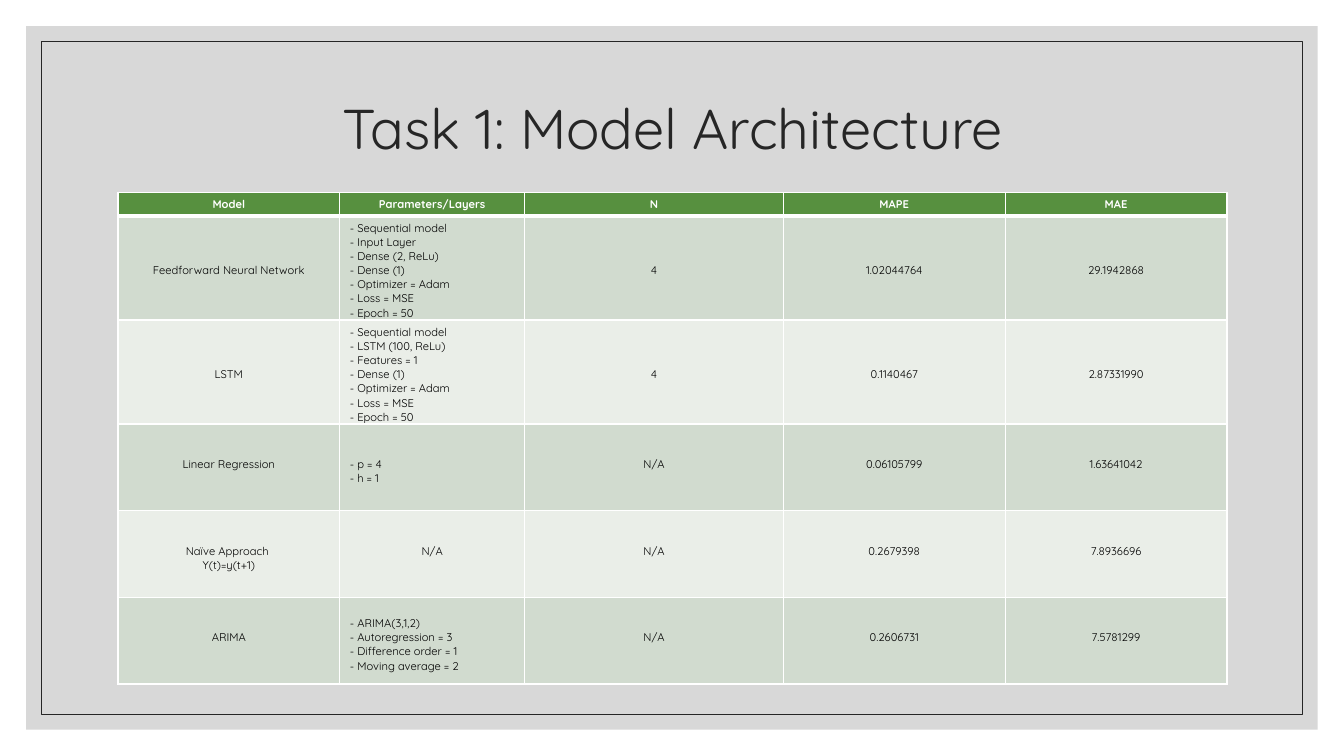
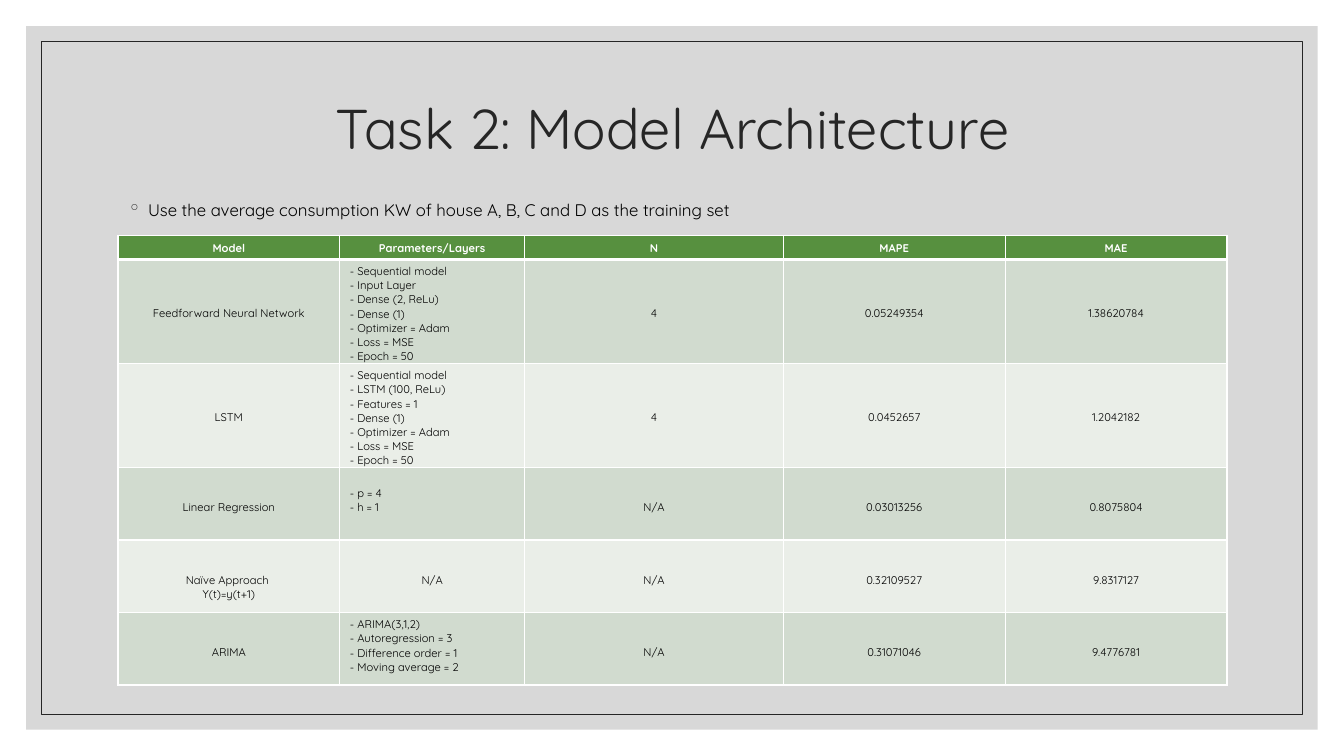
"""Build two slides that compare forecasting models in tables."""
import dataclasses

import lxml.etree
import pptx
import pptx.dml.color
import pptx.enum.shapes
import pptx.enum.text
import pptx.oxml
import pptx.oxml.ns
import pptx.util

ALIGN = pptx.enum.text.PP_ALIGN
ANCHOR = pptx.enum.text.MSO_ANCHOR
Inches = pptx.util.Inches
Pt = pptx.util.Pt


@dataclasses.dataclass(frozen=True)
class Theme:
    font: str = "Quicksand"
    panel: str = "BFBFBF"
    panel_opacity: int = 60
    ink: str = "262626"
    black: str = "000000"
    white: str = "FFFFFF"
    header: str = "57903F"
    bands: tuple = ("D1DBCF", "EAEEE8")
    title_size: int = 40
    note_size: int = 12
    cell_size: int = 8
    frame_width: float = 0.5
    grid_width: int = 1
    header_rule: int = 3


THEME = Theme()
WIDTH, HEIGHT = 13.33, 7.5
PANEL_INSET, FRAME_INSET = 0.26, 0.41
LEFT, CONTENT_WIDTH = 1.17, 11
TITLE_TOP, TITLE_HEIGHT = 0.7, 1.2
BODY_TOP, NOTE_HEIGHT = 1.91, 0.38
COLUMN_SHARES = (0.2, 0.1667, 0.2333, 0.2, 0.2)
HEADER_HEIGHT, TALL_ROW = 0.23, 1.03
CELL_MARGIN = 0.05
LINE_HEIGHT = THEME.cell_size * 1.25 / 72

HEADINGS = ("Model", "Parameters/Layers", "N", "MAPE", "MAE")
TRAINING = ["- Dense (1)", "- Optimizer = Adam", "- Loss = MSE", "- Epoch = 50"]
MODELS = [
    (["Feedforward Neural Network"],
     ["- Sequential model", "- Input Layer", "- Dense (2, ReLu)"] + TRAINING, "4"),
    (["LSTM"],
     ["- Sequential model", "- LSTM (100, ReLu)", "- Features = 1"] + TRAINING, "4"),
    (["Linear Regression"], ["- p = 4", "- h = 1"], "N/A"),
    (["Naïve Approach ", "Y(t)=y(t+1)"], ["N/A"], "N/A"),
    (["ARIMA"],
     ["- ARIMA(3,1,2)", "- Autoregression = 3", "- Difference order = 1",
      "- Moving average = 2"], "N/A"),
]
LINES_ABOVE = (3, 3, 2, 2, 2)
TASKS = [
    {
        "title": "Task 1: Model Architecture",
        "note": None,
        "table_top": 1.91,
        "short_row": 0.86,
        "lines_above_parameters": (0, 0, 2, 2, 1),
        "scores": [
            ("1.02044764", "29.1942868"),
            ("0.1140467", "2.87331990"),
            ("0.06105799", "1.63641042"),
            ("0.2679398", "7.8936696"),
            ("0.2606731", "7.5781299"),
        ],
    },
    {
        "title": "Task 2: Model Architecture",
        "note": "Use the average consumption KW of house A, B, C and D as the training set",
        "table_top": 2.34,
        "short_row": 0.72,
        "lines_above_parameters": (0, 0, 1, 2, 0),
        "scores": [
            ("0.05249354", "1.38620784"),
            ("0.0452657", "1.2042182"),
            ("0.03013256", "0.8075804"),
            ("0.32109527", "9.8317127"),
            ("0.31071046", "9.4776781"),
        ],
    },
]


def rgb(code):
    return pptx.dml.color.RGBColor.from_string(code)


def write_text(frame, lines, size=THEME.cell_size, color=THEME.black, bold=False,
               align=ALIGN.LEFT, spacing=None, bullet=None):
    frame.word_wrap = True
    for index, line in enumerate(lines):
        paragraph = frame.paragraphs[0] if index == 0 else frame.add_paragraph()
        paragraph.alignment = align
        if spacing:
            paragraph.line_spacing = spacing
        if bullet:
            add_bullet(paragraph, bullet)
        run = paragraph.add_run()
        run.text = line
        run.font.name = THEME.font
        run.font.size = Pt(size)
        run.font.bold = bold
        run.font.color.rgb = rgb(color)


def add_bullet(paragraph, symbol, indent=0.2):
    properties = paragraph._p.get_or_add_pPr()
    properties.set("marL", str(Inches(indent)))
    properties.set("indent", str(-Inches(indent)))
    tint = lxml.etree.SubElement(properties, pptx.oxml.ns.qn("a:buClr"))
    lxml.etree.SubElement(tint, pptx.oxml.ns.qn("a:srgbClr"), val=THEME.ink)
    lxml.etree.SubElement(properties, pptx.oxml.ns.qn("a:buChar"), char=symbol)


def add_backdrop(slide, inset):
    rectangle = slide.shapes.add_shape(
        pptx.enum.shapes.MSO_SHAPE.RECTANGLE, Inches(inset), Inches(inset),
        Inches(WIDTH - 2 * inset), Inches(HEIGHT - 2 * inset))
    rectangle.shadow.inherit = False
    return rectangle


def add_background(slide):
    panel = add_backdrop(slide, PANEL_INSET)
    panel.fill.solid()
    panel.fill.fore_color.rgb = rgb(THEME.panel)
    panel.line.fill.background()
    tint = panel._element.spPr.find(".//" + pptx.oxml.ns.qn("a:srgbClr"))
    lxml.etree.SubElement(tint, pptx.oxml.ns.qn("a:alpha"),
                          val=str(THEME.panel_opacity * 1000))
    border = add_backdrop(slide, FRAME_INSET)
    border.fill.background()
    border.line.color.rgb = rgb(THEME.ink)
    border.line.width = Pt(THEME.frame_width)


def add_text_box(slide, top, height, text, anchor=ANCHOR.TOP, **text_format):
    box = slide.shapes.add_textbox(
        Inches(LEFT), Inches(top), Inches(CONTENT_WIDTH), Inches(height))
    box.text_frame.vertical_anchor = anchor
    write_text(box.text_frame, [text], **text_format)


def set_borders(cell, widths):
    properties = cell._tc.get_or_add_tcPr()
    for position, (side, width) in enumerate(widths.items()):
        properties.insert(position, pptx.oxml.parse_xml(
            f'<a:ln{side} {pptx.oxml.ns.nsdecls("a")} w="{Pt(width)}">'
            f'<a:solidFill><a:srgbClr val="{THEME.white}"/></a:solidFill></a:ln{side}>'))


def fill_cell(cell, lines, fill, borders, lines_above=0, **text_format):
    cell.fill.solid()
    cell.fill.fore_color.rgb = rgb(fill)
    cell.margin_top = Inches(CELL_MARGIN + lines_above * LINE_HEIGHT)
    cell.margin_bottom = Inches(CELL_MARGIN)
    set_borders(cell, borders)
    write_text(cell.text_frame, lines, **text_format)


def add_model_table(slide, task):
    heights = [HEADER_HEIGHT] + 2 * [TALL_ROW] + 3 * [task["short_row"]]
    table = slide.shapes.add_table(
        len(heights), len(HEADINGS), Inches(LEFT), Inches(task["table_top"]),
        Inches(CONTENT_WIDTH), Inches(sum(heights))).table
    for column, share in zip(table.columns, COLUMN_SHARES):
        column.width = Inches(CONTENT_WIDTH * share)
    for row, height in zip(table.rows, heights):
        row.height = Inches(height)

    thin = THEME.grid_width
    header_borders = {"L": thin, "R": thin, "T": thin, "B": THEME.header_rule}
    body_borders = {"L": thin, "R": thin, "B": thin}
    for column, heading in enumerate(HEADINGS):
        fill_cell(table.cell(0, column), [heading], THEME.header, header_borders,
                  color=THEME.white, bold=True, align=ALIGN.CENTER)
    for index, (name, parameters, count) in enumerate(MODELS):
        contents = [name, parameters, [count]] + [[score] for score in task["scores"][index]]
        for column, lines in enumerate(contents):
            above = task["lines_above_parameters"] if lines is parameters else LINES_ABOVE
            listed = lines[0].startswith("-")
            fill_cell(table.cell(index + 1, column), lines, THEME.bands[index % 2],
                      body_borders, lines_above=above[index],
                      align=ALIGN.LEFT if listed else ALIGN.CENTER)


def add_task_slide(deck, task):
    slide = deck.slides.add_slide(deck.slide_layouts[6])
    add_background(slide)
    add_text_box(slide, TITLE_TOP, TITLE_HEIGHT, task["title"], anchor=ANCHOR.MIDDLE,
                 size=THEME.title_size, color=THEME.ink, align=ALIGN.CENTER, spacing=0.9)
    add_model_table(slide, task)
    if task["note"]:
        add_text_box(slide, BODY_TOP, NOTE_HEIGHT, task["note"],
                     size=THEME.note_size, spacing=1.1, bullet="◦")


def main():
    deck = pptx.Presentation()
    deck.slide_width, deck.slide_height = Inches(WIDTH), Inches(HEIGHT)
    for task in TASKS:
        add_task_slide(deck, task)
    deck.save("out.pptx")


if __name__ == "__main__":
    main()
